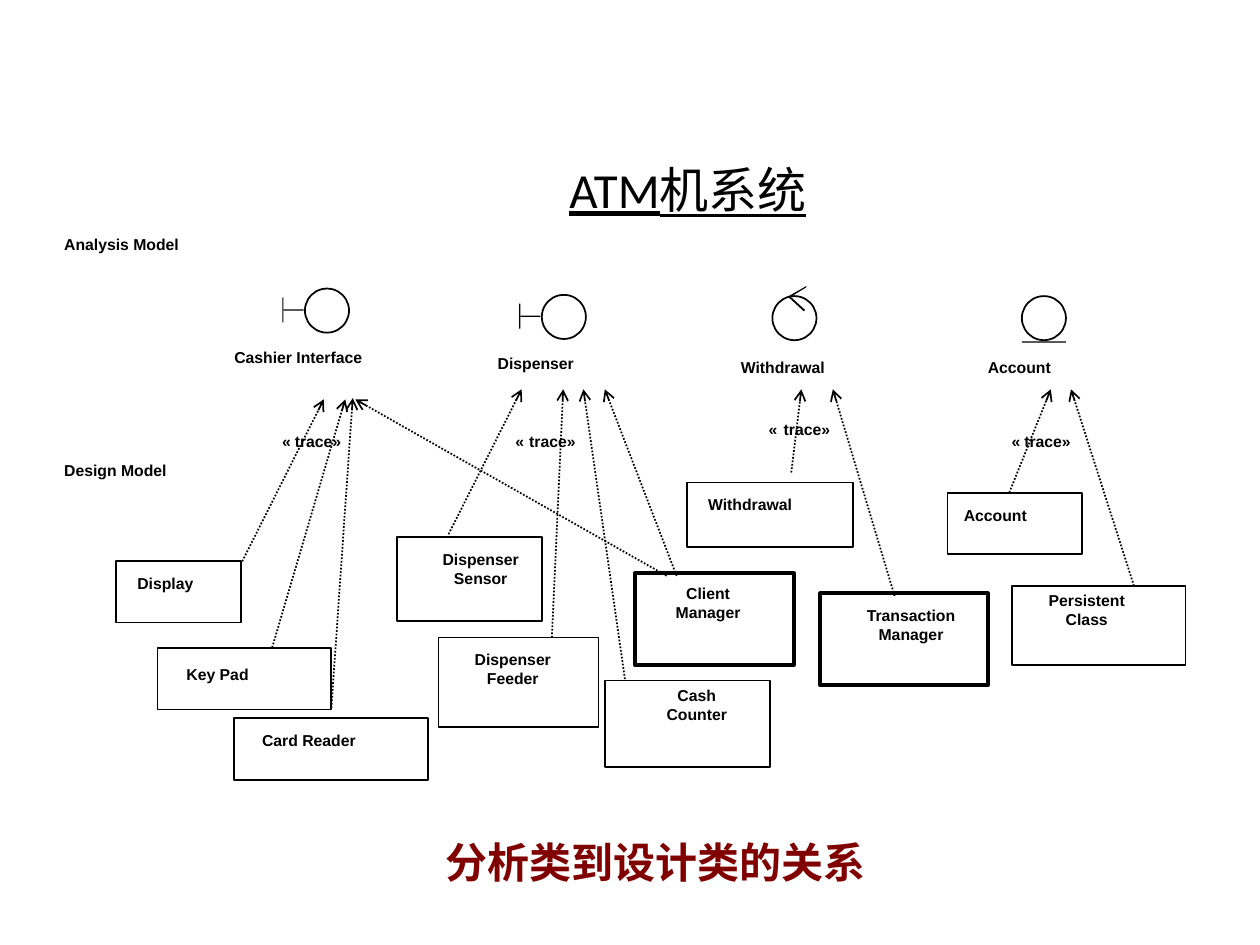
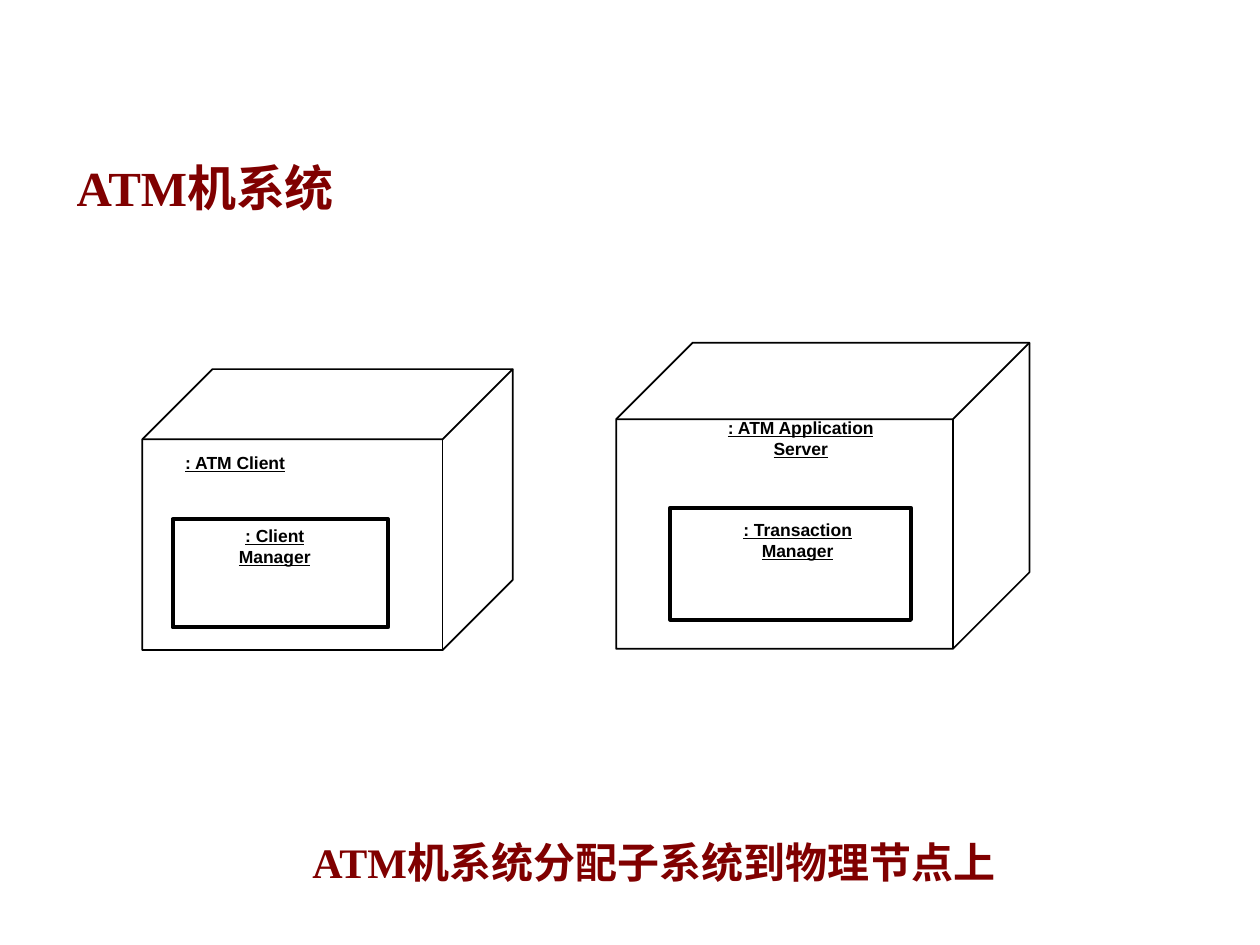
from lxml import etree
from pptx import Presentation
from pptx import util as u
from pptx.dml.color import RGBColor
from pptx.enum import dml, shapes, text
from pptx.oxml.ns import qn


class Theme:
    ink = RGBColor(0, 0, 0)
    maroon = RGBColor(0x80, 0, 0)
    thin, thick = 1, 2.25
    label = dict(name="Arial", size=u.Pt(9), bold=True)
    node = dict(name="Arial", size=u.Pt(10), bold=True, underline=True)
    plain_title = dict(name="Calibri", size=u.Pt(28), underline=True)
    title = dict(name="Times New Roman", size=u.Pt(28), bold=True)
    caption = dict(name="Times New Roman", size=u.Pt(24), bold=True)


IN = 2.54  # layout grid: one unit is 2.54 cm
RECT, OVAL, CUBE = (shapes.MSO_SHAPE.RECTANGLE, shapes.MSO_SHAPE.OVAL,
                    shapes.MSO_SHAPE.CUBE)
LEFT, CENTER = text.PP_ALIGN.LEFT, text.PP_ALIGN.CENTER


def add_box(s, kind, at, line=None):
    """Outlined shape, or a solid black one when no line width is given."""
    sp = s.shapes.add_shape(kind, *[u.Cm(v * IN) for v in at])
    sp.shadow.inherit = False
    if line:
        sp.fill.background()
        sp.line.color.rgb = Theme.ink
        sp.line.width = u.Pt(line)
    else:
        sp.fill.solid()
        sp.fill.fore_color.rgb = Theme.ink
        sp.line.fill.background()


def add_text(s, at, lines, fmt, align=LEFT, color=Theme.ink, inset=0, **frame):
    """Text box with one paragraph per line; frame sets text frame attributes."""
    tf = s.shapes.add_textbox(*[u.Cm(v * IN) for v in at]).text_frame
    margins = dict(margin_left=inset, margin_right=inset,
                   margin_top=inset / 2, margin_bottom=inset / 2)
    for name, value in margins.items():
        setattr(tf, name, u.Cm(value))
    for name, value in {"word_wrap": True, **frame}.items():
        setattr(tf, name, value)
    for i, line in enumerate(lines.split("\n")):
        p = tf.add_paragraph() if i else tf.paragraphs[0]
        p.alignment = align
        r = p.add_run()
        r.text = line
        r.font.color.rgb = color
        for name, value in fmt.items():
            setattr(r.font, name, value)


prs = Presentation()
prs.slide_width, prs.slide_height = u.Cm(25.4), u.Cm(19.05)
blank = prs.slide_layouts[6]
s1, s2 = [prs.slides.add_slide(blank) for _ in range(2)]

# Titles and captions
titles = [
    (s1, (0.92, 0.77, 9.08, 1.01), Theme.plain_title, CENTER, Theme.ink),
    (s2, (0.51, 0.76, 9.08, 1.01), Theme.title, LEFT, Theme.maroon),
]
for s, at, fmt, align, color in titles:
    add_text(s, at, "ATM机系统", fmt, align, color, 0.25,
             vertical_anchor=text.MSO_ANCHOR.BOTTOM)
captions = [
    (s1, (3.44, 6.59, 3.53, 0.5), "分析类到设计类的关系"),
    (s2, (2.38, 6.59, 5.72, 0.5), "ATM机系统分配子系统到物理节点上"),
]
for s, at, line in captions:
    add_text(s, at, line, Theme.caption, LEFT, Theme.maroon, 0.25,
             word_wrap=False, auto_size=text.MSO_AUTO_SIZE.SHAPE_TO_FIT_TEXT)

# Slide 1: design classes (box, line width, text area, name)
classes = [
    ((0.92, 4.45, 0.99, 0.49), Theme.thin, (1.09, 4.55, 0.77, 0.4), "Display"),
    ((1.25, 5.14, 1.38, 0.49), Theme.thin, (1.48, 5.28, 1.15, 0.33), "Key Pad"),
    ((1.86, 5.7, 1.54, 0.49), Theme.thin, (2.08, 5.8, 1.33, 0.39), "Card Reader"),
    ((3.15, 4.26, 1.15, 0.67), Theme.thin, (3.26, 4.36, 1.11, 0.59), "Dispenser\nSensor"),
    ((3.48, 5.06, 1.27, 0.71), Theme.thin, (3.58, 5.16, 0.98, 0.61), "Dispenser\nFeeder"),
    ((4.8, 5.4, 1.31, 0.69), Theme.thin, (4.95, 5.44, 1.16, 0.65), "Cash\nCounter"),
    ((5.04, 4.55, 1.26, 0.73), Theme.thick, (5.14, 4.63, 0.96, 0.65), "Client\nManager"),
    ((6.51, 4.71, 1.33, 0.73), Theme.thick, (6.62, 4.81, 1.22, 0.63), "Transaction\nManager"),
    ((5.45, 3.83, 1.32, 0.51), Theme.thin, (5.62, 3.93, 0.97, 0.37), "Withdrawal"),
    ((8.03, 4.65, 1.38, 0.63), Theme.thin, (8.03, 4.69, 1.19, 0.62), "Persistent\nClass"),
    ((7.52, 3.91, 1.07, 0.49), Theme.thin, (7.65, 4.01, 0.96, 0.29), "Account"),
]
for at, width, area, name in classes:
    add_box(s1, RECT, at, width)
    add_text(s1, area, name, Theme.label, CENTER if "\n" in name else LEFT)

# Slide 1: model headings and analysis class names
names = [
    (0.51, 1.86, 1.93, "Analysis Model"),
    (0.51, 3.66, 1.54, "Design Model"),
    (1.86, 2.76, 1.74, "Cashier Interface"),
    (3.95, 2.81, 1.19, "Dispenser"),
    (5.88, 2.84, 1.18, "Withdrawal"),
    (7.84, 2.84, 0.83, "Account"),
]
for x, y, w, name in names:
    add_text(s1, (x, y, w, 0.35), name, Theme.label)

# Slide 1: boundary, control and entity icons
for x, y in [(2.24, 2.29), (4.12, 2.34)]:
    add_box(s1, RECT, (x, y + 0.07, 0.01, 0.2))
    add_box(s1, RECT, (x + 0.01, y + 0.165, 0.16, 0.01))
    add_box(s1, OVAL, (x + 0.18, y, 0.35, 0.35), Theme.thin)
for x in (6.13, 8.11):
    add_box(s1, OVAL, (x, 2.35, 0.35, 0.35), Theme.thin)
add_box(s1, RECT, (8.11, 2.71, 0.35, 0.01))
strokes = [
    [(6.4, 2.28), (6.4, 2.27), (6.26, 2.35), (6.27, 2.36)],
    [(6.38, 2.47), (6.39, 2.46), (6.27, 2.35), (6.26, 2.36)],
]
for stroke in strokes:
    pts = [(u.Cm(x * IN), u.Cm(y * IN)) for x, y in stroke]
    fb = s1.shapes.build_freeform(*pts[0])
    fb.add_line_segments(pts[1:], close=True)
    sp = fb.convert_to_shape()
    sp.shadow.inherit = False
    sp.fill.solid()
    sp.fill.fore_color.rgb = Theme.ink
    sp.line.fill.background()

# Slide 1: trace arrows from design classes to analysis classes
traces = [
    (1.91, 4.48, 2.57, 3.17), (2.16, 5.14, 2.74, 3.17), (2.63, 5.62, 2.8, 3.16),
    (5.29, 4.57, 2.82, 3.17), (3.56, 4.24, 4.14, 3.09), (4.38, 5.06, 4.47, 3.09),
    (4.96, 5.39, 4.63, 3.09), (5.37, 4.57, 4.8, 3.09), (6.28, 3.75, 6.36, 3.09),
    (7.1, 4.73, 6.61, 3.09), (8.01, 3.91, 8.34, 3.09), (9, 4.65, 8.5, 3.09),
]
for ends in traces:
    cn = s1.shapes.add_connector(shapes.MSO_CONNECTOR.STRAIGHT,
                                 *[u.Cm(v * IN) for v in ends])
    cn.line.color.rgb = Theme.ink
    cn.line.width = u.Pt(Theme.thin)
    cn.line.dash_style = dml.MSO_LINE.ROUND_DOT
    etree.SubElement(cn.line._get_or_add_ln(), qn("a:tailEnd"), type="arrow")
    etree.SubElement(cn._element.spPr, qn("a:effectLst"))

# Slide 1: trace labels
for x, y, gap in [(2.24, 3.43, 0.1), (4.09, 3.43, 0.11),
                  (6.1, 3.33, 0.12), (8.03, 3.43, 0.1)]:
    add_text(s1, (x, y, 0.14, 0.38), "«", Theme.label)
    add_text(s1, (x + gap, y, 0.7, 0.38), "trace»", Theme.label)

# Slide 2: physical nodes with the subsystem deployed on each
nodes = [
    ((1.13, 2.93, 2.94, 2.23), (1.47, 3.59, 1.59, 0.39), ": ATM Client",
     (1.37, 4.12, 1.71, 0.86), (1.49, 4.17, 1.38, 0.77), ": Client\nManager"),
    ((4.89, 2.72, 3.28, 2.43), (5.21, 3.31, 2.29, 0.61), ": ATM Application\nServer",
     (5.32, 4.03, 1.91, 0.89), (5.47, 4.12, 1.72, 0.6), ": Transaction\nManager"),
]
for cube, node_area, node, box, part_area, part in nodes:
    add_box(s2, CUBE, cube, Theme.thin)
    add_box(s2, RECT, box, Theme.thick)
    for area, name in [(node_area, node), (part_area, part)]:
        add_text(s2, area, name, Theme.node, CENTER if "\n" in name else LEFT)

prs.save("out.pptx")
